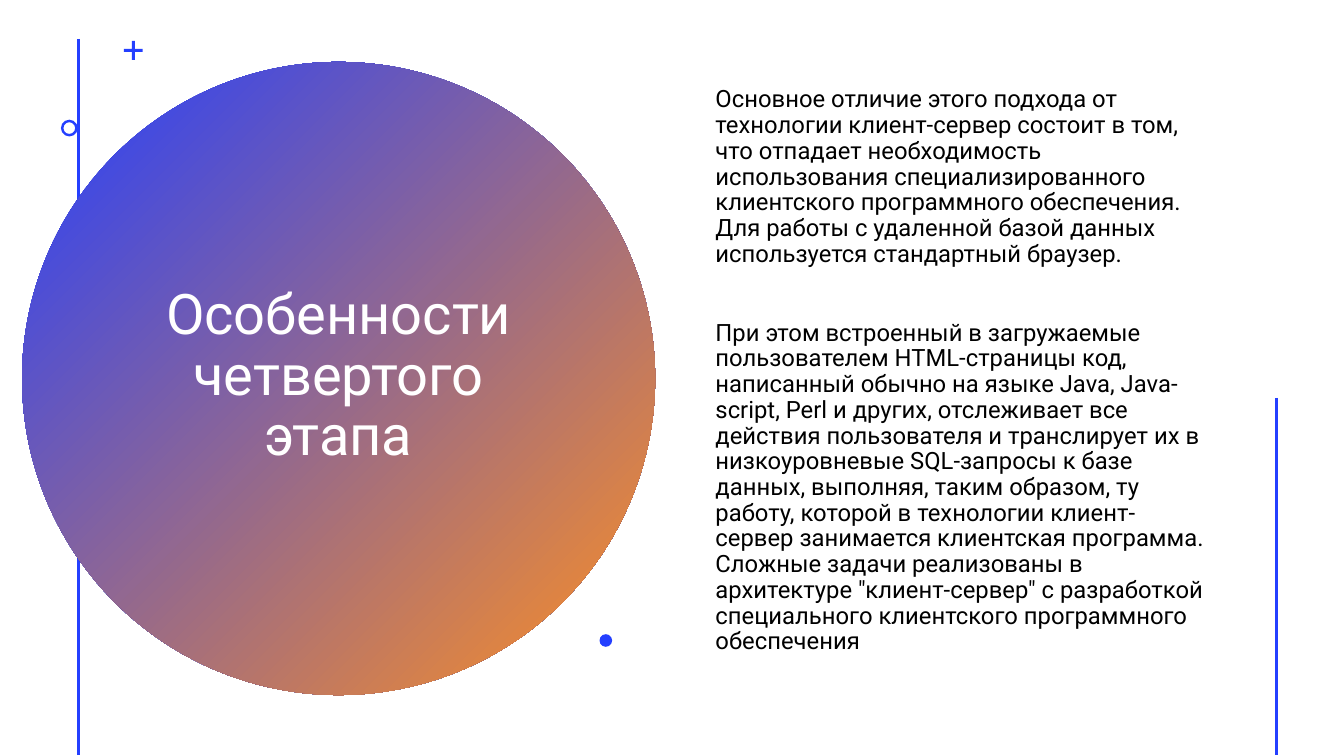
from typing import NamedTuple

from lxml import etree
from pptx import Presentation
from pptx import util as u
from pptx.dml.color import RGBColor
from pptx.enum import shapes, text
from pptx.oxml.ns import qn

PX = 9525
BLUE = RGBColor(0x24, 0x3F, 0xFF)
ORANGE = RGBColor(0xFF, 0x90, 0x22)
WHITE = RGBColor(0xFF, 0xFF, 0xFF)
BLACK = RGBColor(0x00, 0x00, 0x00)
FONT = "Roboto"
Kind = shapes.MSO_SHAPE


class Accent(NamedTuple):
    kind: Kind
    left: int
    top: int
    size: int
    adjustment: float | None = None


class VerticalLine(NamedTuple):
    x: int
    top: int
    bottom: int


LEFT_LINE = VerticalLine(75, 37, 719)
RIGHT_LINE = VerticalLine(1216, 379, 719)
CIRCLE = Accent(Kind.OVAL, 21, 59, 603)
ACCENTS = [
    Accent(Kind.CROSS, 118, 39, 18, 0.42),
    Accent(Kind.DONUT, 58, 114, 16, 0.15),
    Accent(Kind.OVAL, 571, 604, 12),
]
TITLE = "Особенности четвертого этапа"
BODY = [
    "Основное отличие этого подхода от технологии клиент-сервер состоит в том, "
    "что отпадает необходимость использования специализированного клиентского "
    "программного обеспечения. Для работы с удаленной базой данных используется "
    "стандартный браузер.",
    "При этом встроенный в загружаемые пользователем HTML-страницы код, написанный "
    "обычно на языке Java, Java-script, Perl и других, отслеживает все действия "
    "пользователя и транслирует их в низкоуровневые SQL-запросы к базе данных, "
    "выполняя, таким образом, ту работу, которой в технологии клиент-сервер "
    "занимается клиентская программа. Сложные задачи реализованы в архитектуре "
    '"клиент-сервер" с разработкой специального клиентского программного обеспечения',
]


def place(sp, left: int, top: int, width: int, height: int) -> None:
    sp.left, sp.top, sp.width, sp.height = (
        u.Emu(n * PX) for n in (left, top, width, height)
    )


def add_line(slide, line: VerticalLine) -> None:
    x = line.x * PX
    sp = slide.shapes.add_connector(
        shapes.MSO_CONNECTOR.STRAIGHT, x, line.top * PX, x, line.bottom * PX
    )
    sp.line.color.rgb = BLUE
    sp.line.width = u.Pt(2)
    etree.SubElement(sp.line._get_or_add_ln().getparent(), qn("a:effectLst"))


def add_accent(slide, accent: Accent):
    size = accent.size * PX
    sp = slide.shapes.add_shape(
        accent.kind, accent.left * PX, accent.top * PX, size, size
    )
    sp.shadow.inherit = False
    sp.line.fill.background()
    sp.fill.solid()
    sp.fill.fore_color.rgb = BLUE
    if accent.adjustment is not None:
        sp.adjustments[0] = accent.adjustment
    return sp


def add_gradient_circle(slide) -> None:
    fill = add_accent(slide, CIRCLE).fill
    fill.gradient()
    fill.gradient_angle = 315
    for stop, position, color in zip(fill.gradient_stops, (0, 1), (BLUE, ORANGE)):
        stop.position = position
        stop.color.rgb = color


def write(sp, paragraphs: list[str], *, size: int, color: RGBColor,
          align: text.PP_ALIGN, before: int = 0, gap: int = 0) -> None:
    """Fill a shape with text; gap is the space between paragraphs in points."""
    tf = sp.text_frame
    tf.word_wrap = True
    tf.auto_size = text.MSO_AUTO_SIZE.NONE
    tf.vertical_anchor = text.MSO_ANCHOR.MIDDLE
    for i, content in enumerate(paragraphs):
        p = tf.add_paragraph() if i else tf.paragraphs[0]
        p.alignment = align
        p.line_spacing = 0.9
        p.space_before = u.Pt(gap if i else before)
        r = p.add_run()
        r.text = content
        r.font.name = FONT
        r.font.size = u.Pt(size)
        r.font.color.rgb = color


def main() -> None:
    prs = Presentation()
    prs.slide_width, prs.slide_height = u.Emu(1280 * PX), u.Emu(720 * PX)
    slide = prs.slides.add_slide(prs.slide_layouts.get_by_name("Title Only"))
    slide.background.fill.solid()
    slide.background.fill.fore_color.rgb = WHITE

    add_line(slide, LEFT_LINE)
    add_gradient_circle(slide)

    title = slide.shapes.title
    title.element.getparent().append(title.element)  # bring in front of the circle
    place(title, 131, 135, 383, 448)
    write(title, [TITLE], size=40, color=WHITE, align=text.PP_ALIGN.CENTER)

    body = slide.shapes.add_textbox(0, 0, 0, 0)
    place(body, 672, 40, 492, 627)
    write(body, BODY, size=17, color=BLACK, align=text.PP_ALIGN.LEFT,
          before=10, gap=38)

    for accent in ACCENTS:
        add_accent(slide, accent)
    add_line(slide, RIGHT_LINE)
    prs.save("out.pptx")


if __name__ == "__main__":
    main()
